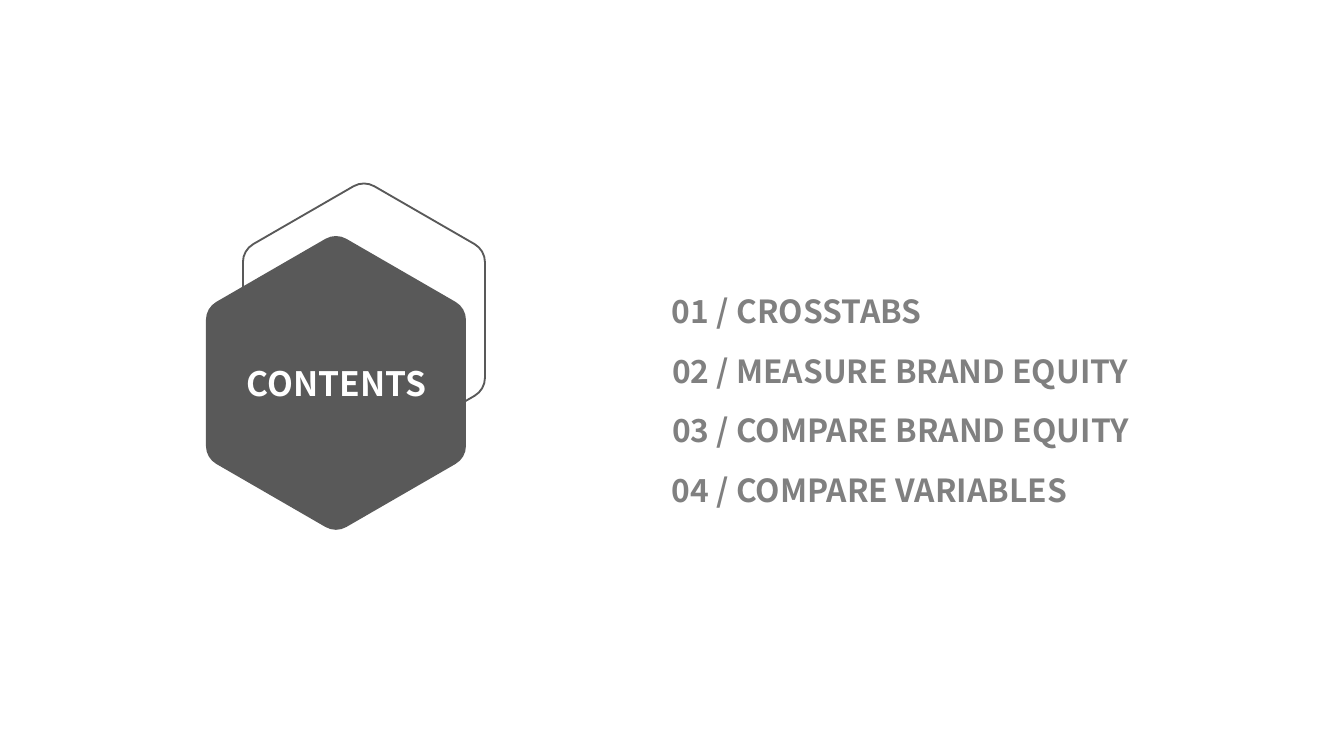
from math import cos, radians, sin, sqrt

from lxml.etree import SubElement
from pptx import Presentation
from pptx.dml.color import RGBColor
from pptx.enum.text import MSO_AUTO_SIZE as AutoSize, PP_ALIGN as Align
from pptx.oxml.ns import qn
from pptx.util import Pt

EMU_PER_PX = 914400 / 134.4
FONT = "Noto Sans CJK SC"
DARK, GREY, WHITE = "595959", "808080", "FFFFFF"
TOPICS = [("CROSSTABS", 438, 48), ("MEASURE BRAND EQUITY", 513, 48),
          ("COMPARE BRAND EQUITY", 513, 48), ("COMPARE VARIABLES", 461, 87)]


def px(length):
    """Turn pixels into EMU."""
    return round(length * EMU_PER_PX)


def color(code):
    """Turn a hex string into a colour."""
    return RGBColor.from_string(code)


def round_corners(hexagon):
    """Join each corner's two handles and end point into one curve."""
    outline = next(hexagon.element.iter(qn("a:path")))
    lines = outline.findall(qn("a:lnTo"))
    for first in range(0, len(lines), 4):
        curve = SubElement(outline, qn("a:cubicBezTo"))
        lines[first].addprevious(curve)
        for line in lines[first:first + 3]:
            curve.append(line[0])
            outline.remove(line)


def add_hexagon(slide, center_x, center_y, width, fill=None, line=None):
    """Add an upright regular hexagon with rounded corners."""
    side, cut = width / sqrt(3), 12
    outline = []
    for vertex in range(-90, 270, 60):
        corner_x = center_x + side * cos(radians(vertex))
        corner_y = center_y + side * sin(radians(vertex))
        for edge, back in ((-120, cut), (-120, cut * 0.38), (120, cut * 0.38), (120, cut)):
            outline.append((px(corner_x + back * cos(radians(vertex + edge))),
                            px(corner_y + back * sin(radians(vertex + edge)))))
    builder = slide.shapes.build_freeform(*outline[0])
    builder.add_line_segments(outline[1:], close=True)
    hexagon = builder.convert_to_shape()
    round_corners(hexagon)
    hexagon.shadow.inherit = False
    if fill:
        hexagon.fill.solid()
        hexagon.fill.fore_color.rgb = color(fill)
    else:
        hexagon.fill.background()
    if line:
        hexagon.line.color.rgb = color(line)
        hexagon.line.width = Pt(1)
    else:
        hexagon.line.fill.background()


def add_label(slide, text, left, top, width, height, size, ink, align=Align.LEFT):
    """Add a bold one-line label."""
    label = slide.shapes.add_textbox(px(left), px(top), px(width), px(height))
    frame = label.text_frame
    frame.word_wrap = True
    frame.auto_size = AutoSize.SHAPE_TO_FIT_TEXT
    frame.margin_left = frame.margin_right = px(10)
    frame.margin_top = frame.margin_bottom = px(5)
    frame.text = text
    paragraph = frame.paragraphs[0]
    paragraph.alignment = align
    font = paragraph.runs[0].font
    font.name, font.size, font.bold = FONT, Pt(size), True
    font.color.rgb = color(ink)


def main():
    """Build the contents slide."""
    deck = Presentation()
    deck.slide_width, deck.slide_height = px(1344), px(756)
    slide = deck.slides.add_slide(deck.slide_layouts[6])
    add_hexagon(slide, 364, 320, 242, line=DARK)
    for index, (topic, width, height) in enumerate(TOPICS):
        top = 287 + round(179 * index / 3)
        add_label(slide, f"{index + 1:02} / {topic}", 662, top, width, height, 17, GREY)
    add_hexagon(slide, 336, 383, 260, fill=DARK)
    add_label(slide, "CONTENTS", 214, 358, 245, 51, 18, WHITE, Align.CENTER)
    deck.save("out.pptx")


main()
